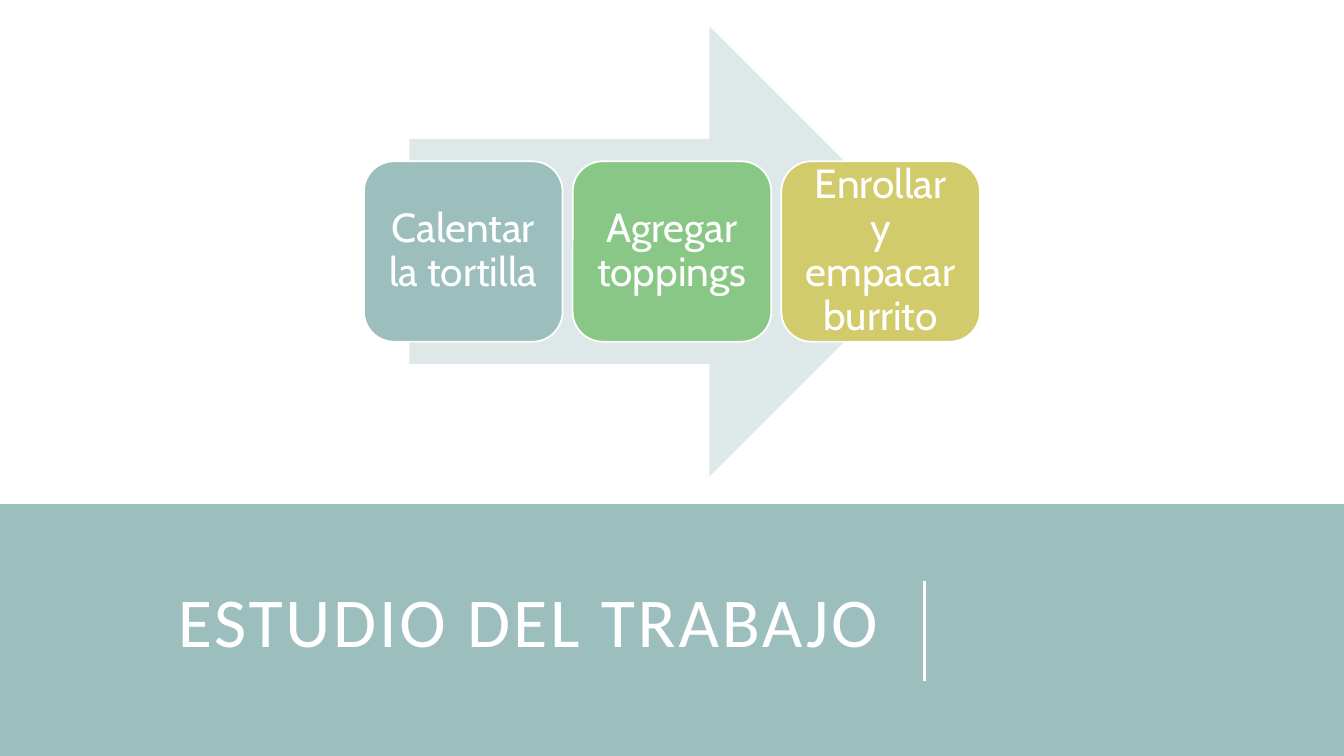
from dataclasses import dataclass

from lxml.etree import SubElement
from pptx import Presentation
from pptx.dml.color import RGBColor
from pptx.enum.shapes import MSO_CONNECTOR, MSO_SHAPE
from pptx.enum.text import MSO_ANCHOR, PP_ALIGN
from pptx.oxml.ns import qn
from pptx.shapes.autoshape import Shape
from pptx.slide import Slide
from pptx.text.text import TextFrame, _Run
from pptx.util import Inches, Pt

WHITE = RGBColor(0xFF, 0xFF, 0xFF)
TEAL = RGBColor(0x9C, 0xBE, 0xBD)
PALE_TEAL = RGBColor(0xDE, 0xE8, 0xE8)
GREEN = RGBColor(0x88, 0xC7, 0x85)
OLIVE = RGBColor(0xD2, 0xCB, 0x6C)

STEP_LEFT, STEP_TOP, STEP_PITCH = 3.61, 1.6, 2.07
STEP_WIDTH, STEP_HEIGHT, STEP_INSET = 1.97, 1.79, 0.12


@dataclass(frozen=True)
class Step:
    text: str
    color: RGBColor


STEPS = [
    Step("Calentar la tortilla", TEAL),
    Step("Agregar toppings", GREEN),
    Step("Enrollar y empacar burrito", OLIVE),
]


def add_filled_shape(page: Slide, kind: MSO_SHAPE, left: float, top: float,
                     width: float, height: float, color: RGBColor) -> Shape:
    shape = page.shapes.add_shape(
        kind, Inches(left), Inches(top), Inches(width), Inches(height))
    shape.shadow.inherit = False
    shape.fill.solid()
    shape.fill.fore_color.rgb = color
    shape.line.fill.background()
    return shape


def write_text(frame: TextFrame, text: str, font: str, size: float,
               align: PP_ALIGN, line_spacing: float) -> _Run:
    frame.word_wrap = True
    frame.vertical_anchor = MSO_ANCHOR.MIDDLE
    para = frame.paragraphs[0]
    para.alignment = align
    para.line_spacing = line_spacing
    span = para.add_run()
    span.text = text
    span.font.name = font
    span.font.size = Pt(size)
    span.font.color.rgb = WHITE
    return span


def add_step(page: Slide, index: int, step: Step) -> None:
    box = add_filled_shape(page, MSO_SHAPE.ROUNDED_RECTANGLE,
                           STEP_LEFT + index * STEP_PITCH, STEP_TOP,
                           STEP_WIDTH, STEP_HEIGHT, step.color)
    box.line.color.rgb = WHITE
    box.line.width = Pt(1.25)
    frame = box.text_frame
    frame.margin_left = frame.margin_right = Inches(STEP_INSET)
    frame.margin_top = frame.margin_bottom = Inches(STEP_INSET)
    write_text(frame, step.text, "Cabin", 29, PP_ALIGN.CENTER, 0.9)


def add_title(page: Slide) -> None:
    box = page.shapes.add_textbox(Inches(0.5), Inches(5.42), Inches(8.5), Inches(1.6))
    span = write_text(box.text_frame, "ESTUDIO DEL TRABAJO ", "Calibri", 50,
                      PP_ALIGN.RIGHT, 0.8)
    span.font._element.set("spc", "200")


def add_divider(page: Slide) -> None:
    divider = page.shapes.add_connector(
        MSO_CONNECTOR.STRAIGHT, Inches(9.17), Inches(6.76), Inches(9.17), Inches(5.76))
    divider.line.color.rgb = WHITE
    divider.line.width = Pt(1.5)
    SubElement(divider._element.spPr, qn("a:effectLst"))


def main() -> None:
    deck = Presentation()
    deck.slide_width, deck.slide_height = Inches(13.33), Inches(7.5)
    page = deck.slides.add_slide(deck.slide_layouts[6])

    add_filled_shape(page, MSO_SHAPE.RECTANGLE, 0, 4.99, 13.33, 2.51, TEAL)
    add_divider(page)
    add_filled_shape(page, MSO_SHAPE.RECTANGLE, 0, 0, 13.33, 5, WHITE)
    add_title(page)
    add_filled_shape(page, MSO_SHAPE.RIGHT_ARROW, 4.06, 0.26, 5.21, 4.47, PALE_TEAL)
    for index, step in enumerate(STEPS):
        add_step(page, index, step)

    deck.save("out.pptx")


if __name__ == "__main__":
    main()
